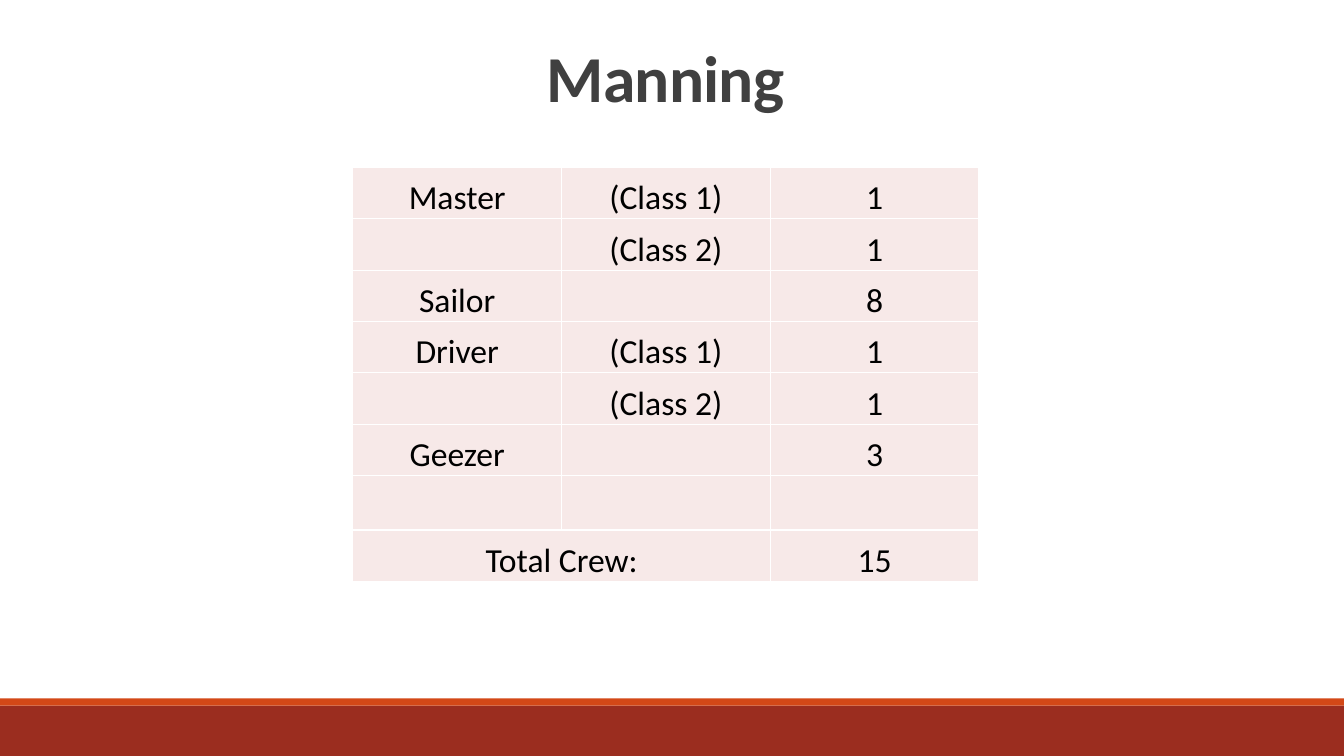
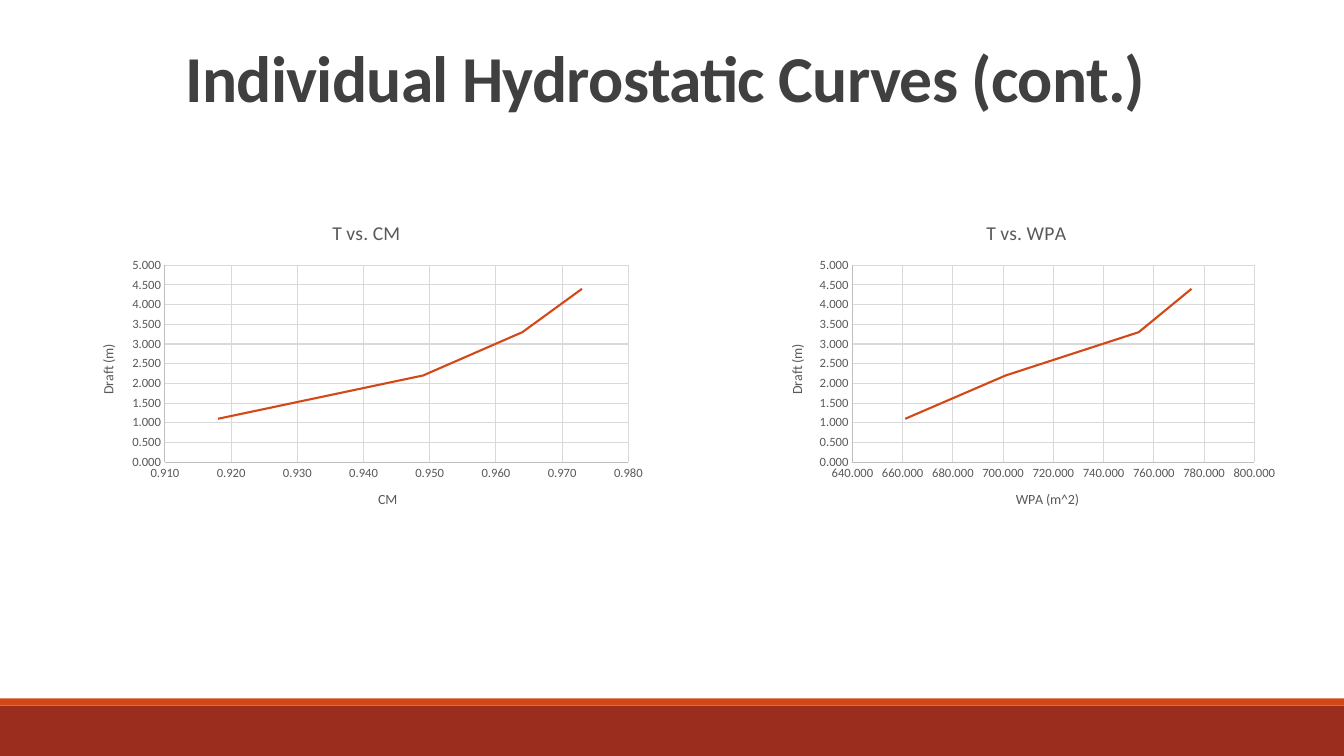
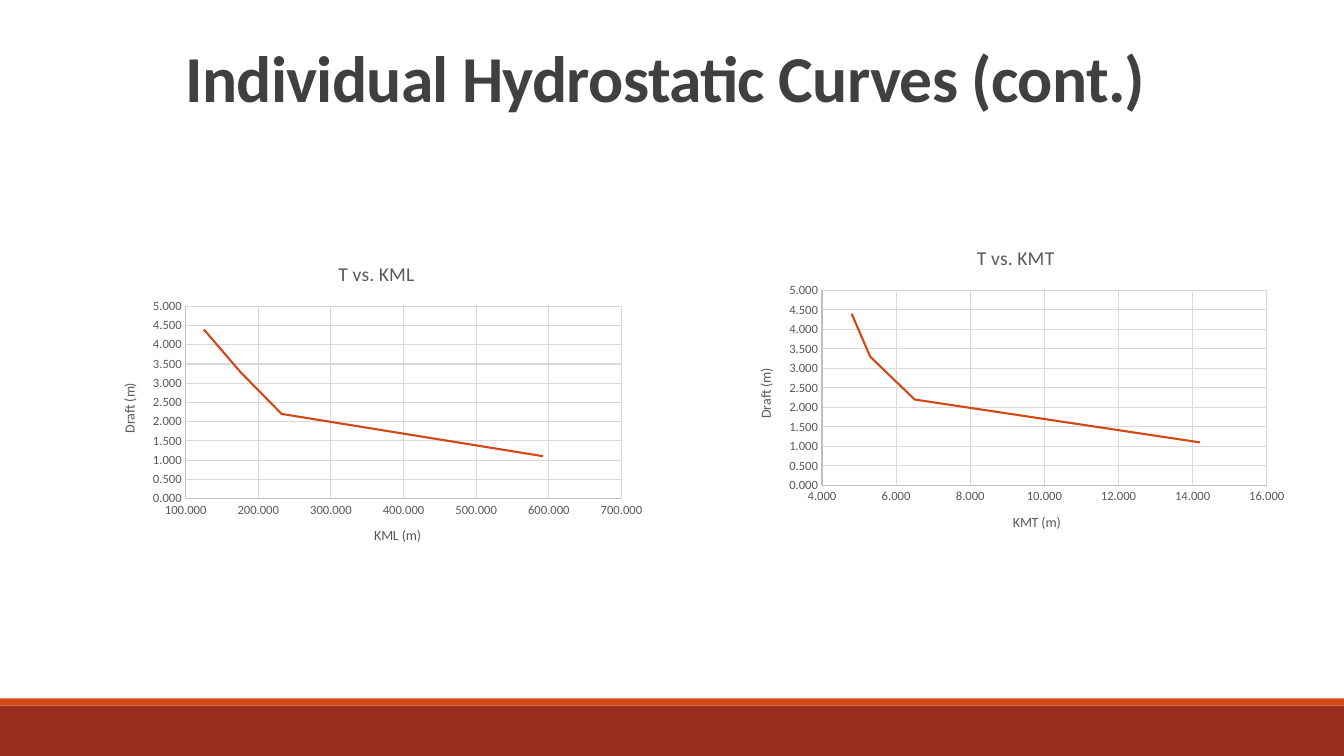
"""Builds three slides on crew manning and hydrostatic curves."""
from dataclasses import dataclass

from lxml import etree
from pptx import Presentation
from pptx import util as u
from pptx.chart import data as chart_data
from pptx.dml.color import RGBColor
from pptx.enum import chart as charts, shapes, text
from pptx.oxml.ns import qn


@dataclass(frozen=True)
class Theme:
    font: str = "Calibri"
    title: str = "404040"
    band: str = "9B2D1F"
    accent: str = "D34817"
    cell: str = "F7E9E8"
    white: str = "FFFFFF"
    ink: str = "000000"
    label: str = "595959"
    axis: str = "BFBFBF"
    grid: str = "D9D9D9"
    title_size: float = 46.8
    table_size: float = 24
    chart_title_size: float = 14
    axis_title_size: float = 10
    tick_size: float = 9


class Deck:
    def __init__(self, theme):
        self.theme = theme
        self.show = Presentation()
        self.show.slide_width = u.Inches(13.33)
        self.show.slide_height = u.Inches(7.5)
        self.slide = None

    def style(self, font, size, color, bold=False):
        font.name = self.theme.font
        font.size = u.Pt(size)
        font.bold = bold
        font.color.rgb = RGBColor.from_string(color)

    def stroke(self, line, color, width):
        line.color.rgb = RGBColor.from_string(color)
        line.width = u.Pt(width)

    def new_slide(self, heading):
        self.slide = self.show.slides.add_slide(self.show.slide_layouts[5])
        self.band(7, 0.5, self.theme.band)
        self.band(6.93, 0.07, self.theme.accent)
        self.title(heading)

    def band(self, top, height, color):
        strip = self.slide.shapes.add_shape(
            shapes.MSO_SHAPE.RECTANGLE, 0, u.Inches(top),
            self.show.slide_width, u.Inches(height))
        strip.shadow.inherit = False
        strip.fill.solid()
        strip.fill.fore_color.rgb = RGBColor.from_string(color)
        strip.line.fill.background()

    def title(self, heading):
        holder = self.slide.shapes.title
        holder.left, holder.top = u.Inches(1.1), u.Inches(0.44)
        holder.width, holder.height = u.Inches(11), u.Inches(1.59)
        frame = holder.text_frame
        frame.text = heading
        frame.word_wrap = True
        frame.auto_size = text.MSO_AUTO_SIZE.NONE
        frame.vertical_anchor = text.MSO_ANCHOR.TOP
        line = frame.paragraphs[0]
        line.alignment = text.PP_ALIGN.CENTER
        line.line_spacing = 0.85
        run = line.runs[0]
        self.style(run.font, self.theme.title_size, self.theme.title, True)
        run.font._element.set("spc", "-50")

    def table(self, left, top, col_width, row_heights, rows):
        columns = len(rows[0])
        grid = self.slide.shapes.add_table(
            len(rows), columns, u.Inches(left), u.Inches(top),
            u.Inches(col_width * columns), u.Inches(sum(row_heights))).table
        grid.first_row = grid.horz_banding = False
        for column in grid.columns:
            column.width = u.Inches(col_width)
        for r, (height, words) in enumerate(zip(row_heights, rows)):
            grid.rows[r].height = u.Inches(height)
            for c, word in enumerate(words):
                self.cell(grid.cell(r, c), word)
        return grid

    def cell(self, cell, word):
        cell.margin_left = cell.margin_right = cell.margin_top = u.Inches(0.01)
        cell.margin_bottom = 0
        cell.vertical_anchor = text.MSO_ANCHOR.BOTTOM
        props = cell._tc.get_or_add_tcPr()
        for side in ("lnL", "lnR", "lnT", "lnB"):
            border = etree.SubElement(props, qn(f"a:{side}"), w=str(u.Pt(1)))
            fill = etree.SubElement(border, qn("a:solidFill"))
            etree.SubElement(fill, qn("a:srgbClr"), val=self.theme.white)
        cell.fill.solid()
        cell.fill.fore_color.rgb = RGBColor.from_string(self.theme.cell)
        if word:
            cell.text_frame.text = word
            line = cell.text_frame.paragraphs[0]
            line.alignment = text.PP_ALIGN.CENTER
            self.style(line.runs[0].font, self.theme.table_size, self.theme.ink)

    def caption(self, frame, words, size):
        frame.text = words
        self.style(frame.paragraphs[0].runs[0].font, size, self.theme.label)

    def axis(self, axis, name, low, high, step):
        axis.minimum_scale, axis.maximum_scale = low, high
        axis.major_unit = step
        axis.major_tick_mark = axis.minor_tick_mark = charts.XL_TICK_MARK.NONE
        axis.tick_labels.number_format = "0.000"
        axis.tick_labels.number_format_is_linked = False
        self.style(axis.tick_labels.font, self.theme.tick_size, self.theme.label)
        self.stroke(axis.format.line, self.theme.axis, 0.75)
        axis.has_major_gridlines = True
        self.stroke(axis.major_gridlines.format.line, self.theme.grid, 0.75)
        self.caption(axis.axis_title.text_frame, name, self.theme.axis_title_size)

    def curve(self, box, quantity, unit, scale, readings):
        points = chart_data.XyChartData()
        series = points.add_series("Series 1")
        for reading, draft in zip(readings, DRAFTS):
            series.add_data_point(reading, draft)
        chart = self.slide.shapes.add_chart(
            charts.XL_CHART_TYPE.XY_SCATTER_SMOOTH_NO_MARKERS,
            *map(u.Inches, box), points).chart
        self.style(chart.font, self.theme.axis_title_size, self.theme.ink)
        chart.has_legend = False
        chart.has_title = True
        chart.chart_title.include_in_layout = False
        self.caption(chart.chart_title.text_frame, f"T vs. {quantity}",
                     self.theme.chart_title_size)
        self.axis(chart.category_axis, quantity + unit, *scale)
        self.axis(chart.value_axis, "Draft (m)", 0, 5, 0.5)
        turn = chart.value_axis.axis_title.text_frame._txBody.bodyPr
        turn.set("rot", "-5400000")
        turn.set("vert", "horz")
        plot = chart.plots[0]
        plot.vary_by_categories = False
        plot.series[0].smooth = True
        self.stroke(plot.series[0].format.line, self.theme.accent, 1.5)


DRAFTS = (1.1, 2.2, 3.3, 4.4)
CREW = [
    ("Master", "(Class 1)", "1"),
    ("", "(Class 2)", "1"),
    ("Sailor", "", "8"),
    ("Driver", "(Class 1)", "1"),
    ("", "(Class 2)", "1"),
    ("Geezer", "", "3"),
    ("", "", ""),
    ("Total Crew:", "", "15"),
]
CURVE_SLIDES = [
    [((0.78, 2.02, 5.71, 3.22), "CM", "", (0.91, 0.98, 0.01),
      (0.918, 0.949, 0.964, 0.973)),
     ((7.61, 2.02, 5.14, 3.22), "WPA", " (m^2)", (640, 800, 20),
      (661, 701, 754, 775))],
    [((0.99, 2.43, 5.49, 3.17), "KML", " (m)", (100, 700, 100),
      (592, 232, 175, 125)),
     ((7.3, 2.27, 5.55, 3.2), "KMT", " (m)", (4, 16, 2),
      (14.2, 6.5, 5.3, 4.8))],
]


def main():
    deck = Deck(Theme())
    deck.new_slide("Manning")
    crew = deck.table(3.5, 1.66, 2.07, [0.51] * 6 + [0.54, 0.51], CREW)
    crew.cell(7, 0).merge(crew.cell(7, 1))
    for curves in CURVE_SLIDES:
        deck.new_slide("Individual Hydrostatic Curves (cont.)")
        for curve in curves:
            deck.curve(*curve)
    deck.show.save("out.pptx")


if __name__ == "__main__":
    main()
